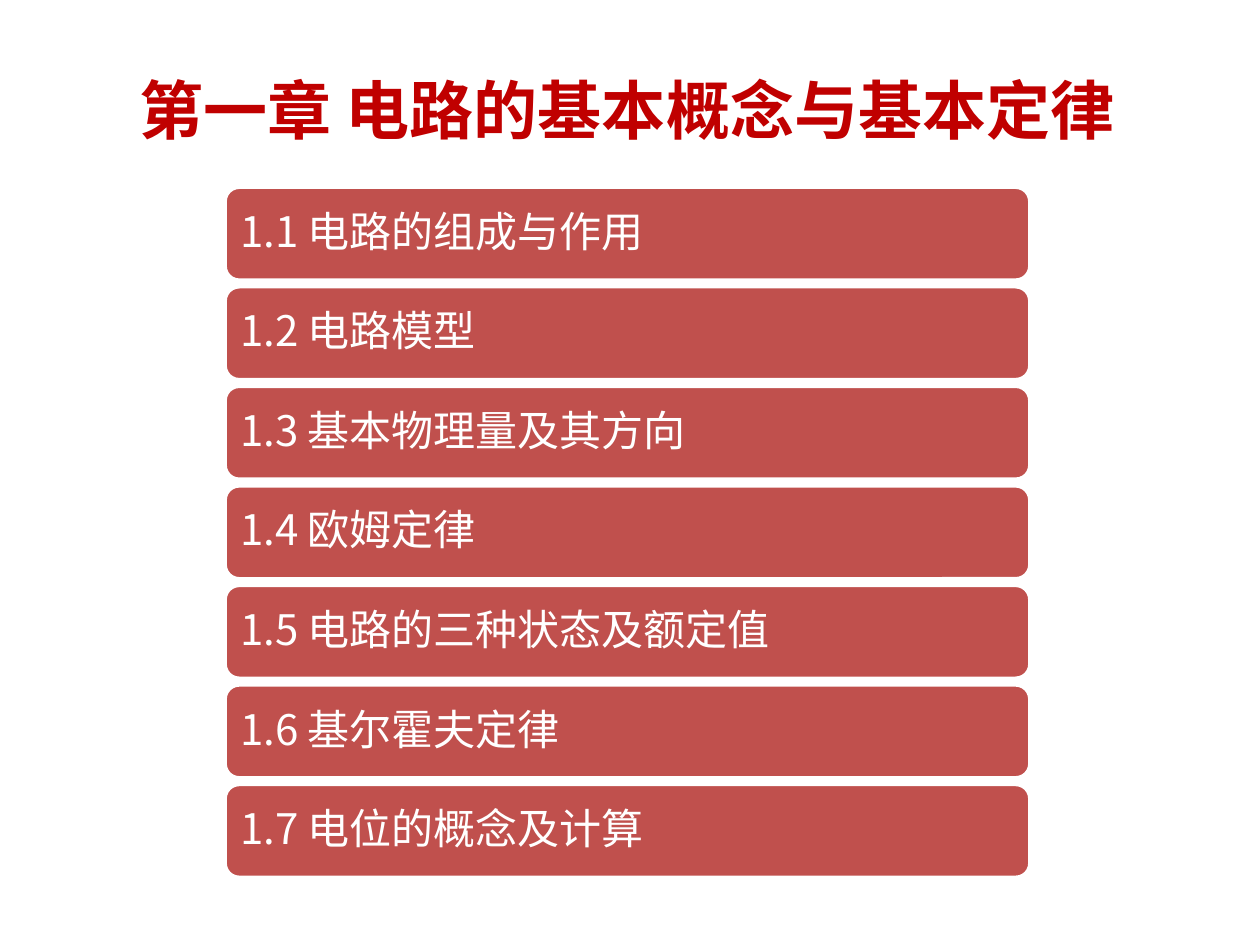
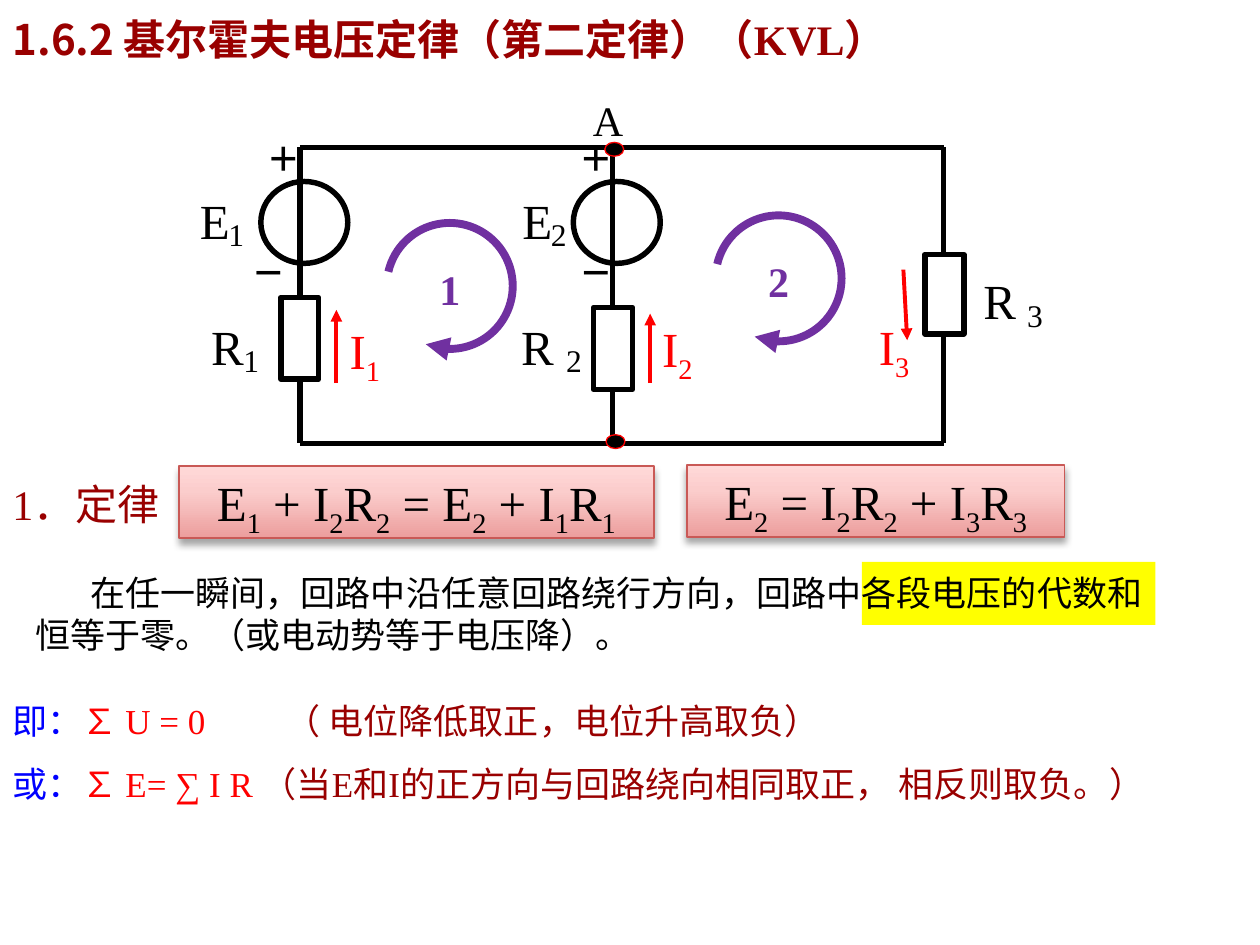
"""Build two slides on circuit laws: a chapter outline and Kirchhoff's voltage law."""
from dataclasses import dataclass

from pptx import Presentation
from pptx.dml.color import RGBColor
from pptx.enum.shapes import MSO_CONNECTOR, MSO_SHAPE
from pptx.enum.text import MSO_ANCHOR, MSO_AUTO_SIZE, PP_ALIGN
from pptx.oxml import parse_xml
from pptx.oxml.ns import nsdecls, qn
from pptx.util import Inches, Pt

LEFT, CENTER = PP_ALIGN.LEFT, PP_ALIGN.CENTER
TOP, MIDDLE = MSO_ANCHOR.TOP, MSO_ANCHOR.MIDDLE
ROUND, RECT = MSO_SHAPE.ROUNDED_RECTANGLE, MSO_SHAPE.RECTANGLE
OVAL, ARC = MSO_SHAPE.OVAL, MSO_SHAPE.ARC
STRAIGHT = MSO_CONNECTOR.STRAIGHT
TITLE_ONLY = 5


@dataclass(frozen=True)
class Theme:
    """Hold the colours, fonts and type sizes."""
    black: str = "000000"
    white: str = "FFFFFF"
    red: str = "FF0000"
    crimson: str = "C00000"
    maroon: str = "990000"
    brick: str = "C0504D"
    rose: str = "C95956"
    blue: str = "0000FF"
    violet: str = "7030A0"
    yellow: str = "FFFF00"
    blush: tuple = ((0, "EC9E9D"), (65, "FBCDCC"), (100, "FFD9D9"))
    han: str = "Noto Sans CJK SC"
    serif: str = "Times New Roman"
    sans: str = "Arial"
    cover: float = 36.6
    symbol: int = 28
    head: int = 24
    body: int = 20
    sub: int = 18
    wire: float = 3.13


T = Theme()

CHAPTER = "第一章 电路的基本概念与基本定律"
TOPICS = ["电路的组成与作用", "电路模型", "基本物理量及其方向", "欧姆定律",
          "电路的三种状态及额定值", "基尔霍夫定律", "电位的概念及计算"]

LAW = [("1.6.2 基尔霍夫电压定律（第二定律）（", T.han), ("KVL", T.serif), ("）", T.han)]
HEADING = "1．定律"
RULE = ("在任一瞬间，回路中沿任意回路绕行方向，回路中各段电压的代数和"
        "恒等于零。（或电动势等于电压降）。")
FORMS = [
    (5.5, 9.25, "即：", "∑ U = 0\t", "（ 电位降低取正，电位升高取负）"),
    (6, 10.28, "或：", "∑ E= ∑ I R ", "（当E和I的正方向与回路绕向相同取正， 相反则取负。）"),
]
SUMS = [("E_2 = I_2R_2 + I_3R_3", 5.45, 3.69, 3),
        ("E_1 + I_2R_2 = E_2 + I_1R_1", 1.42, 3.7, 3.77)]

X1, X2, X3 = 2.38, 4.86, 7.49
ROOF, FLOOR = 1.17, 3.52
WIRES = [(X1, ROOF, X3, ROOF), (X1, FLOOR, X3, FLOOR),
         (X1, ROOF, X1, 2.36), (X1, 3.01, X1, FLOOR),
         (X2, ROOF, X2, 2.44), (X2, 3.09, X2, FLOOR),
         (X3, ROOF, X3, 2.02), (X3, 2.65, X3, FLOOR)]
PARTS = [(OVAL, 2.07, 1.44, 0.69, 0.65), (OVAL, 4.55, 1.44, 0.69, 0.65),
         (RECT, 2.23, 2.36, 0.3, 0.65), (RECT, 4.71, 2.44, 0.31, 0.65),
         (RECT, 7.34, 2.02, 0.31, 0.63)]
NODES = [(4.8, 1.13), (4.81, 3.45)]
FLOWS = [("I_1", 2.62, 2.54, (2.67, 3.04, 2.67, 2.46)),
         ("I_2", 5.1, 2.53, (5.16, 3.04, 5.16, 2.49)),
         ("I_3", 6.82, 2.51, (7.17, 2.14, 7.2, 2.7))]
NAMES = [("E", 1.58, 1.51, "1", 1.81), ("E", 4.14, 1.51, "2", 4.37),
         ("R", 1.68, 2.51, "1", 1.93), ("R", 4.14, 2.51, "2", 4.49),
         ("R", 7.81, 2.15, "3", 8.15)]
POLES = [("+", 2.14, 1), ("−", 2.02, 1.91), ("+", 4.62, 1), ("−", 4.62, 1.91)]
LOOPS = [("1", 3.07, 1.77), ("2", 5.68, 1.71)]


def rgb(code):
    """Turn a hex code into a colour."""
    return RGBColor.from_string(code)


def style(run, size, color, face=T.serif, bold=False):
    """Format one run, with a matching East Asian face."""
    font = run.font
    font.size, font.name, font.bold = Pt(size), face, bold
    font.color.rgb = rgb(color)
    run._r.get_or_add_rPr().append(
        parse_xml(f'<a:ea {nsdecls("a")} typeface="{T.han}"/>'))


def add_run(para, text, *look, **more):
    """Append a formatted run to a paragraph."""
    run = para.add_run()
    run.text = text
    style(run, *look, **more)
    return run


def set_math(para, text, color):
    """Write a formula in which the sign after each underscore is lowered."""
    first, *rest = text.split("_")
    add_run(para, first, T.symbol, color)
    for part in rest:
        low = add_run(para, part[0], T.symbol, color)
        low._r.get_or_add_rPr().set("baseline", "-25000")
        if part[1:]:
            add_run(para, part[1:], T.symbol, color)


def frame_up(shape, align=LEFT, anchor=TOP, pad=(0.1, 0.05), wrap=True):
    """Set up a text frame and return its first paragraph."""
    frame = shape.text_frame
    frame.word_wrap, frame.vertical_anchor = wrap, anchor
    frame.auto_size = MSO_AUTO_SIZE.NONE
    frame.margin_left = frame.margin_right = Inches(pad[0])
    frame.margin_top = frame.margin_bottom = Inches(pad[1])
    para = frame.paragraphs[0]
    para.alignment = align
    return para


def add_text(slide, box, **setup):
    """Add a text box and return its first paragraph."""
    return frame_up(slide.shapes.add_textbox(*map(Inches, box)), **setup)


def add_label(slide, text, x, y, width, size, color=T.black, face=T.serif, bold=False):
    """Add a short centred label without margins."""
    para = add_text(slide, (x, y, width, size / 60), align=CENTER, pad=(0, 0), wrap=False)
    add_run(para, text, size, color, face, bold)


def add_form(slide, kind, box, fill=None, line=None, width=1):
    """Add a preset shape with plain fill and line."""
    shape = slide.shapes.add_shape(kind, *map(Inches, box))
    shape.shadow.inherit = False
    if fill:
        shape.fill.solid()
        shape.fill.fore_color.rgb = rgb(fill)
    else:
        shape.fill.background()
    if line:
        shape.line.color.rgb = rgb(line)
        shape.line.width = Pt(width)
    else:
        shape.line.fill.background()
    return shape


def add_tip(shape):
    """Put an arrowhead at the end of a line."""
    shape.line._get_or_add_ln().append(
        parse_xml(f'<a:tailEnd {nsdecls("a")} type="triangle"/>'))


def add_line(slide, ends, color, width):
    """Add a straight line without shadow."""
    line = slide.shapes.add_connector(STRAIGHT, *map(Inches, ends))
    line.line.color.rgb = rgb(color)
    line.line.width = Pt(width)
    line._element.spPr.append(parse_xml(f'<a:effectLst {nsdecls("a")}/>'))
    return line


def add_glow(shape):
    """Give a box the blush gradient and a soft shadow."""
    stops = "".join(f'<a:gs pos="{pos * 1000}"><a:srgbClr val="{code}"/></a:gs>'
                    for pos, code in T.blush)
    props = shape._element.spPr
    old = props.find(qn("a:noFill"))
    props.replace(old, parse_xml(
        f'<a:gradFill {nsdecls("a")}><a:gsLst>{stops}</a:gsLst>'
        '<a:lin ang="16200000" scaled="0"/></a:gradFill>'))
    props.find(qn("a:effectLst")).append(parse_xml(
        f'<a:outerShdw {nsdecls("a")} blurRad="{Pt(4)}" dist="{Pt(3)}" dir="5400000" '
        f'rotWithShape="0"><a:srgbClr val="{T.black}"><a:alpha val="35000"/>'
        '</a:srgbClr></a:outerShdw>'))


def add_slide(deck, box, parts, size, color, align):
    """Add a slide with its bold title."""
    slide = deck.slides.add_slide(deck.slide_layouts[TITLE_ONLY])
    title = slide.shapes.title
    title.left, title.top, title.width, title.height = map(Inches, box)
    para = frame_up(title, align, MIDDLE)
    para.line_spacing = 0.9
    for text, face in parts:
        add_run(para, text, size, color, face, bold=True)
    return slide


def draw_outline(deck):
    """Draw the chapter outline as a column of bars."""
    slide = add_slide(deck, (0.56, 0.44, 8.83, 0.92), [(CHAPTER, T.han)],
                      T.cover, T.crimson, CENTER)
    top, step = 1.47, 0.79
    for i, topic in enumerate(TOPICS):
        bar = add_form(slide, ROUND, (1.77, top + i * step, 6.42, 0.77),
                       T.brick, T.white, 4.33)
        para = frame_up(bar, LEFT, MIDDLE, (0.1, 0.1))
        para.line_spacing = 0.9
        add_run(para, f"1.{i + 1} {topic}", T.head, T.white, T.han)


def draw_circuit(slide):
    """Draw the two-loop circuit with its labels."""
    for kind, *box in PARTS:
        add_form(slide, kind, box, line=T.black, width=T.wire)
    for ends in WIRES:
        add_line(slide, ends, T.black, T.wire)
    for text, x, y, ends in FLOWS:
        add_tip(add_line(slide, ends, T.red, 2.25))
        para = add_text(slide, (x, y, 0.55, 0.47), align=CENTER, pad=(0, 0))
        set_math(para, text, T.red)
    for name, x, y, sub, sub_x in NAMES:
        add_label(slide, name, x, y, 0.25, T.symbol)
        add_label(slide, sub, sub_x, y + 0.2, 0.13, T.sub)
    for sign, x, y in POLES:
        add_label(slide, sign, x, y, 0.22, T.symbol, face=T.sans)
    add_label(slide, "A", 4.7, 0.75, 0.25, T.head)
    for x, y in NODES:
        add_form(slide, OVAL, (x, y, 0.15, 0.11), T.black, T.red, 0.75)
    for text, x, y in LOOPS:
        add_label(slide, text, x + 0.4, y + 0.32, 0.2, T.head, T.violet, bold=True)
        arc = add_form(slide, ARC, (x, y, 1, 1), line=T.violet, width=4.5)
        arc.adjustments[0], arc.adjustments[1] = 115.84, 67.4
        add_tip(arc)


def draw_law(deck):
    """Draw the voltage law: circuit, formulas and statement."""
    slide = add_slide(deck, (0, 0, 9.83, 0.67), LAW, T.head, T.maroon, LEFT)
    draw_circuit(slide)
    add_form(slide, RECT, (6.84, 4.46, 2.33, 0.5), T.yellow)
    add_run(add_text(slide, (0, 3.75, 2.23, 0.58)), HEADING, T.head, T.maroon)
    para = add_text(slide, (0.18, 4.49, 9.25, 0.77))
    para._p.get_or_add_pPr().set("indent", str(Inches(0.44)))
    add_run(para, RULE, T.body, T.black)
    for y, width, lead, form, note in FORMS:
        para = add_text(slide, (0, y, width, 0.44))
        para._p.get_or_add_pPr().append(parse_xml(
            f'<a:tabLst {nsdecls("a")}><a:tab pos="{Inches(2.17)}" algn="l"/></a:tabLst>'))
        for text, color in ((lead, T.blue), (form, T.red), (note, T.maroon)):
            add_run(para, text, T.body, color)
    for text, x, y, width in SUMS:
        box = add_form(slide, RECT, (x, y, width, 0.57), line=T.rose)
        add_glow(box)
        set_math(frame_up(box, CENTER), text, T.black)


def main():
    """Build and save the deck."""
    deck = Presentation()
    deck.slide_width, deck.slide_height = Inches(10), Inches(7.5)
    draw_outline(deck)
    draw_law(deck)
    deck.save("out.pptx")


if __name__ == "__main__":
    main()
